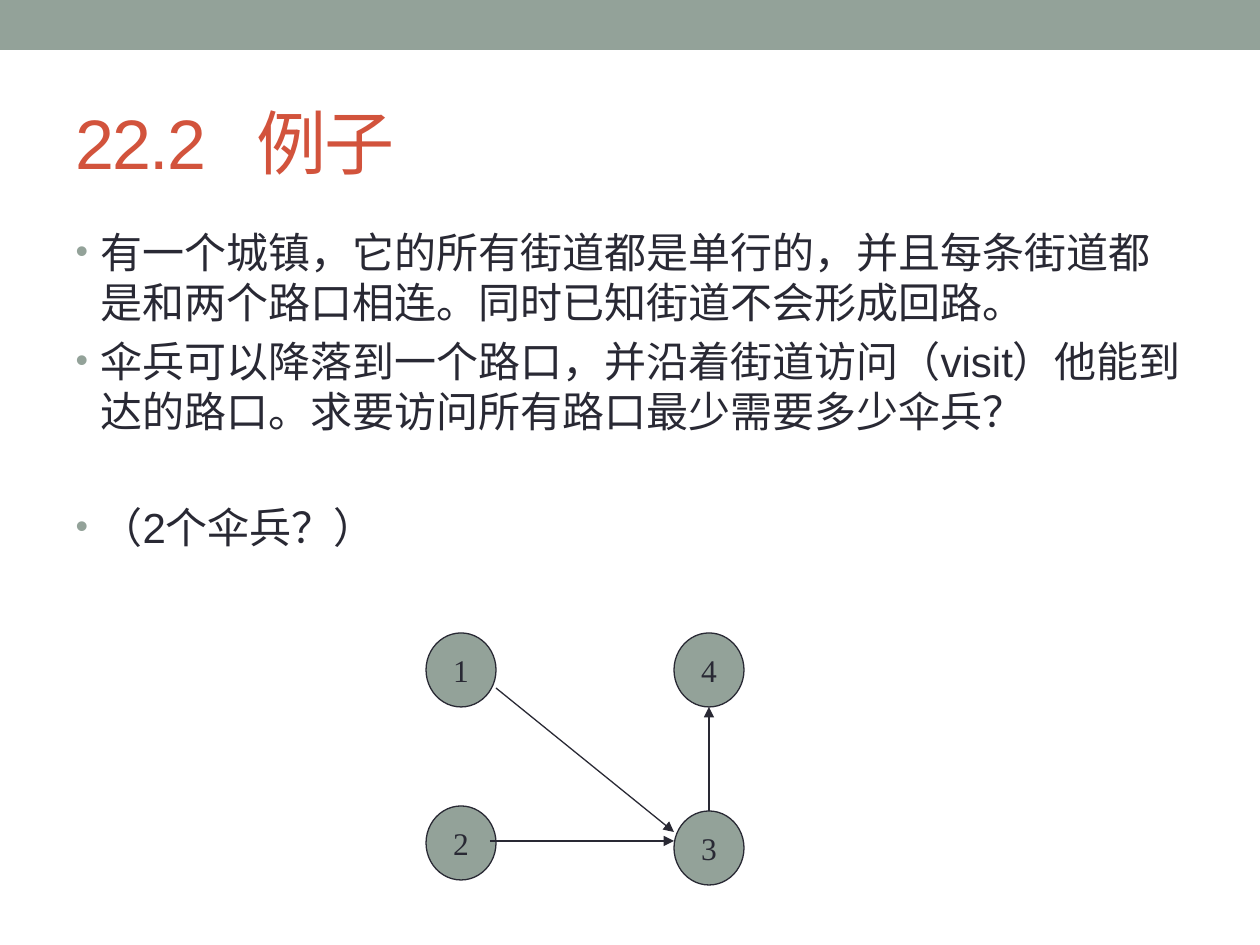
from dataclasses import dataclass
from lxml.etree import SubElement as Sub
from pptx import Presentation
from pptx.dml.color import RGBColor as RGB
from pptx.enum.shapes import MSO_CONNECTOR as Conn, MSO_SHAPE as Shape
from pptx.enum.text import MSO_ANCHOR as Anchor, MSO_AUTO_SIZE as Auto, PP_ALIGN as Align
from pptx.oxml.ns import qn
from pptx.util import Emu, Pt

SCALE = 914400 / 126


def px(n):
    return Emu(round(n * SCALE))


@dataclass(frozen=True)
class Theme:
    sage: str = "93A299"
    rust: str = "D2533C"
    ink: str = "292934"
    sans: str = "Arial"
    serif: str = "Times New Roman"
    head: int = 40
    body: int = 24
    node: int = 18
    line: float = 0.75


class Deck:
    def __init__(self, theme):
        self.theme = theme
        self.prs = Presentation()
        self.prs.slide_width, self.prs.slide_height = px(1260), px(945)
        self.slide = self.prs.slides.add_slide(self.prs.slide_layouts[1])
        self.group = None

    def run(self, para, text, size, color, font):
        run = para.add_run()
        run.text = text
        run.font.size, run.font.name = Pt(size), font
        run.font.color.rgb = RGB.from_string(color)
        return run

    def frame(self, holder, box, anchor):
        holder.left, holder.top, holder.width, holder.height = map(px, box)
        frame = holder.text_frame
        frame.auto_size, frame.vertical_anchor = Auto.NONE, anchor
        return frame

    def title(self, box, text, stop):
        t = self.theme
        para = self.frame(self.slide.shapes.title, box, Anchor.MIDDLE).paragraphs[0]
        para.alignment = Align.LEFT
        run = self.run(para, text, t.head, t.rust, t.sans)
        run.font._element.set("spc", "-100")
        tabs = Sub(para._p.get_or_add_pPr(), qn("a:tabLst"))
        Sub(tabs, qn("a:tab"), pos=str(px(stop)), algn="l")

    def bullets(self, box, items, indent):
        t = self.theme
        frame = self.frame(self.slide.placeholders[1], box, Anchor.TOP)
        for i, (text, gap) in enumerate(items):
            para = frame.add_paragraph() if i else frame.paragraphs[0]
            para.space_before = Pt(gap)
            self.run(para, text, t.body, t.ink, t.sans)
            props = para._p.get_or_add_pPr()
            props.set("marL", str(px(indent)))
            props.set("indent", str(-px(indent)))
            Sub(Sub(props, qn("a:buClr")), qn("a:srgbClr"), val=t.sage)
            Sub(props, qn("a:buSzPct"), val="85000")
            Sub(props, qn("a:buFont"), typeface=t.sans)
            Sub(props, qn("a:buChar"), char="•")

    def shape(self, home, kind, box):
        shape = home.shapes.add_shape(kind, *map(px, box))
        shape.shadow.inherit = False
        shape.fill.solid()
        shape.fill.fore_color.rgb = RGB.from_string(self.theme.sage)
        return shape

    def bar(self, box):
        self.shape(self.slide, Shape.RECTANGLE, box).line.fill.background()

    def stroke(self, line):
        line.color.rgb = RGB.from_string(self.theme.ink)
        line.width = Pt(self.theme.line)

    def graph(self):
        self.group = self.slide.shapes.add_group_shape()

    def node(self, box, text):
        t = self.theme
        node = self.shape(self.group, Shape.OVAL, box)
        self.stroke(node.line)
        frame = node.text_frame
        frame.word_wrap, frame.vertical_anchor = False, Anchor.MIDDLE
        para = frame.paragraphs[0]
        para.alignment = Align.CENTER
        self.run(para, text, t.node, t.ink, t.serif)

    def arrow(self, ends):
        link = self.group.shapes.add_connector(Conn.STRAIGHT, *map(px, ends))
        self.stroke(link.line)
        Sub(link.line._get_or_add_ln(), qn("a:tailEnd"), type="triangle")
        Sub(link._element.spPr, qn("a:effectLst"))


deck = Deck(Theme())

# Top band and title
deck.bar((0, 0, 1260, 50))
deck.title((63, 73, 1134, 136), "22.2\t例子", 181)

# Problem text: each item with its space before in points
deck.bullets((63, 220, 1134, 672), [
    ("有一个城镇，它的所有街道都是单行的，并且每条街道都是和两个路口相连。同时已知街道不会形成回路。", 4.8),
    ("伞兵可以降落到一个路口，并沿着街道访问（visit）他能到达的路口。求要访问所有路口最少需要多少伞兵？", 4.8),
    ("（2个伞兵？）", 37),
], 25)

# Crossings and one-way streets
deck.graph()
LEFT, RIGHT, TOP, WIDE, HIGH = 426, 674, 633, 70, 74
for name, x, y in (("1", LEFT, TOP), ("3", RIGHT, 811),
                   ("2", LEFT, 806), ("4", RIGHT, TOP)):
    deck.node((x, y, WIDE, HIGH), name)
mid = RIGHT + WIDE // 2
for ends in ((LEFT + WIDE, 688, RIGHT, 832), (490, 841, RIGHT, 841),
             (mid, 811, mid, TOP + HIGH)):
    deck.arrow(ends)

deck.prs.save("out.pptx")
